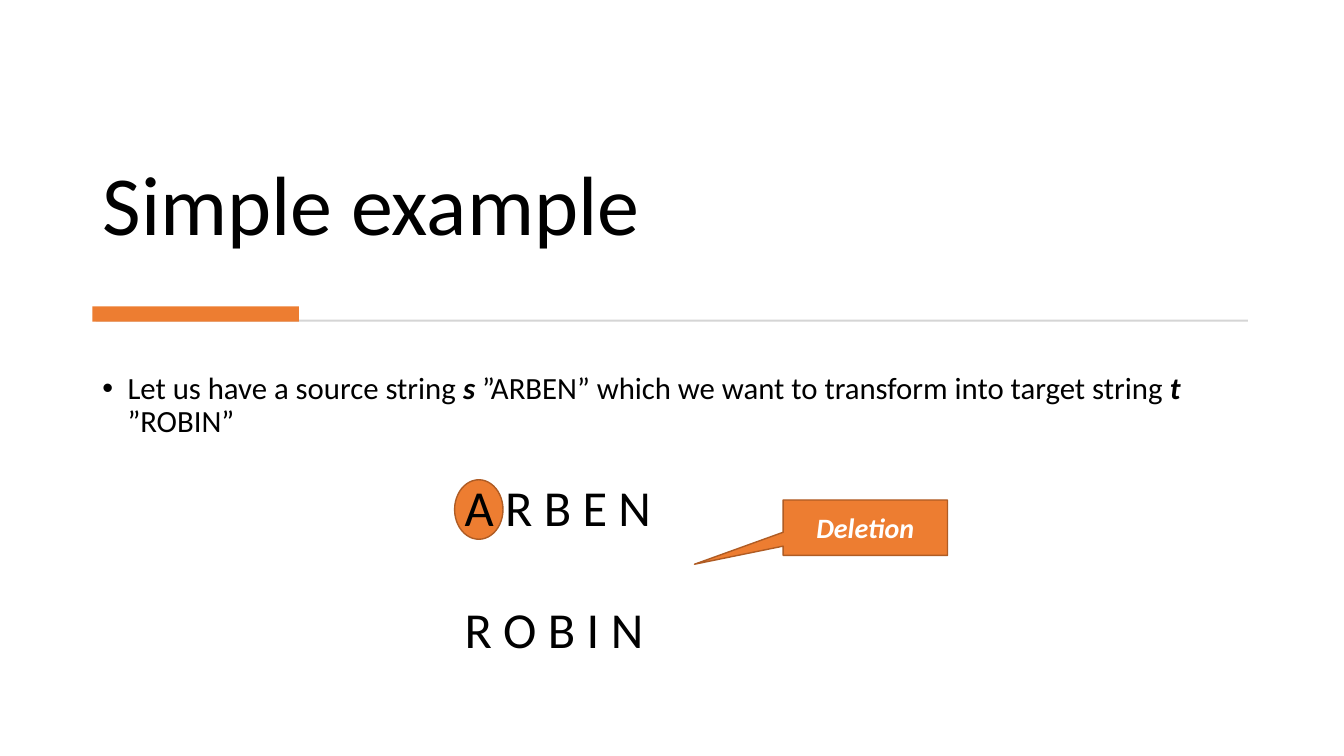
from dataclasses import dataclass
from typing import Optional

from lxml.etree import SubElement
from pptx import Presentation
from pptx.dml.color import RGBColor
from pptx.enum.shapes import MSO_SHAPE as Preset
from pptx.enum.text import MSO_ANCHOR as Anchor, MSO_AUTO_SIZE as AutoSize, PP_ALIGN as Align
from pptx.oxml.ns import qn
from pptx.util import Inches, Pt

COLORS = {"text": "000000", "accent": "ED7D31", "outline": "AF5C24", "rule": "D5D5D5", "label": "FFFFFF"}
FONT = "Calibri"
COLUMNS, ROWS = 160, 90
SLIDE_WIDTH, SLIDE_HEIGHT = Inches(13.333), Inches(7.5)


@dataclass(frozen=True)
class Box:
    column: float
    row: float
    columns: float
    rows: float

    def place(self) -> tuple[int, int, int, int]:
        column_width, row_height = SLIDE_WIDTH / COLUMNS, SLIDE_HEIGHT / ROWS
        return (round(self.column * column_width), round(self.row * row_height),
                round(self.columns * column_width), round(self.rows * row_height))


@dataclass(frozen=True)
class Piece:
    text: str
    emphasis: bool = False


@dataclass(frozen=True)
class Figure:
    preset: Preset
    box: Box
    fill: str
    line: Optional[str] = None
    label: str = ""
    adjustments: tuple[float, ...] = ()


TITLE_BOX = Box(11, 5.64, 138, 25.2)
BODY_BOX = Box(11, 43.8, 138, 38.16)
WORDS_BOX = Box(54.12, 56.04, 66.84, 23.04)
FIGURES = (
    Figure(Preset.RECTANGLE, Box(11.4, 38.04, 137.16, 0.24), "rule"),
    Figure(Preset.RECTANGLE, Box(11, 36.48, 24.6, 1.8), "accent"),
    Figure(Preset.OVAL, Box(54.12, 57.12, 5.76, 7.08), "accent", "outline"),
    Figure(Preset.RECTANGULAR_CALLOUT, Box(93.24, 59.52, 19.56, 6.6), "accent", "outline",
           "Deletion", (-1.04, 0.66)),
)
BODY = (
    Piece("Let us have a source string "),
    Piece("s", True),
    Piece(" ”ARBEN” which we want to transform into target string "),
    Piece("t", True),
    Piece(" ”ROBIN”"),
)
WORDS = ("A R B E N", "R O B I N")


def color(name: str) -> RGBColor:
    return RGBColor.from_string(COLORS[name])


def format_run(run, size: float, color_name: str = "text", emphasis: bool = False) -> None:
    run.font.name = FONT
    run.font.size = Pt(size)
    run.font.color.rgb = color(color_name)
    run.font.bold = run.font.italic = emphasis


def add_bullet(paragraph, indent: float) -> None:
    properties = paragraph._p.get_or_add_pPr()
    properties.set("marL", str(Inches(indent)))
    properties.set("indent", str(-Inches(indent)))
    SubElement(properties, qn("a:buFont"), typeface="Arial")
    SubElement(properties, qn("a:buChar"), char="•")


def add_title(slide) -> None:
    title = slide.shapes.title
    title.left, title.top, title.width, title.height = TITLE_BOX.place()
    frame = title.text_frame
    frame.text = "Simple example"
    frame.auto_size = AutoSize.NONE
    frame.vertical_anchor = Anchor.BOTTOM
    paragraph = frame.paragraphs[0]
    paragraph.alignment = Align.LEFT
    paragraph.line_spacing = 0.9
    format_run(paragraph.runs[0], 60)


def add_figure(slide, figure: Figure) -> None:
    shape = slide.shapes.add_shape(figure.preset, *figure.box.place())
    shape.shadow.inherit = False
    shape.fill.solid()
    shape.fill.fore_color.rgb = color(figure.fill)
    if figure.line:
        shape.line.color.rgb = color(figure.line)
        shape.line.width = Pt(1)
    else:
        shape.line.fill.background()
    for index, value in enumerate(figure.adjustments):
        shape.adjustments[index] = value
    if figure.label:
        frame = shape.text_frame
        frame.text = figure.label
        frame.vertical_anchor = Anchor.MIDDLE
        paragraph = frame.paragraphs[0]
        paragraph.alignment = Align.CENTER
        format_run(paragraph.runs[0], 20, "label", True)


def add_text_frame(slide, box: Box):
    frame = slide.shapes.add_textbox(*box.place()).text_frame
    frame.word_wrap = True
    return frame


def add_body(slide) -> None:
    paragraph = add_text_frame(slide, BODY_BOX).paragraphs[0]
    paragraph.line_spacing = 0.9
    paragraph.space_before = Pt(10)
    add_bullet(paragraph, 0.25)
    for piece in BODY:
        run = paragraph.add_run()
        run.text = piece.text
        format_run(run, 22, emphasis=piece.emphasis)


def add_words(slide) -> None:
    frame = add_text_frame(slide, WORDS_BOX)
    frame.text = "\n".join(WORDS)
    for paragraph in frame.paragraphs:
        format_run(paragraph.runs[0], 36)
    frame.paragraphs[1].space_before = Pt(44)


def main() -> None:
    presentation = Presentation()
    presentation.slide_width, presentation.slide_height = SLIDE_WIDTH, SLIDE_HEIGHT
    slide = presentation.slides.add_slide(presentation.slide_layouts.get_by_name("Title Only"))
    add_title(slide)
    for figure in FIGURES:
        add_figure(slide, figure)
    add_body(slide)
    add_words(slide)
    presentation.save("out.pptx")


if __name__ == "__main__":
    main()
